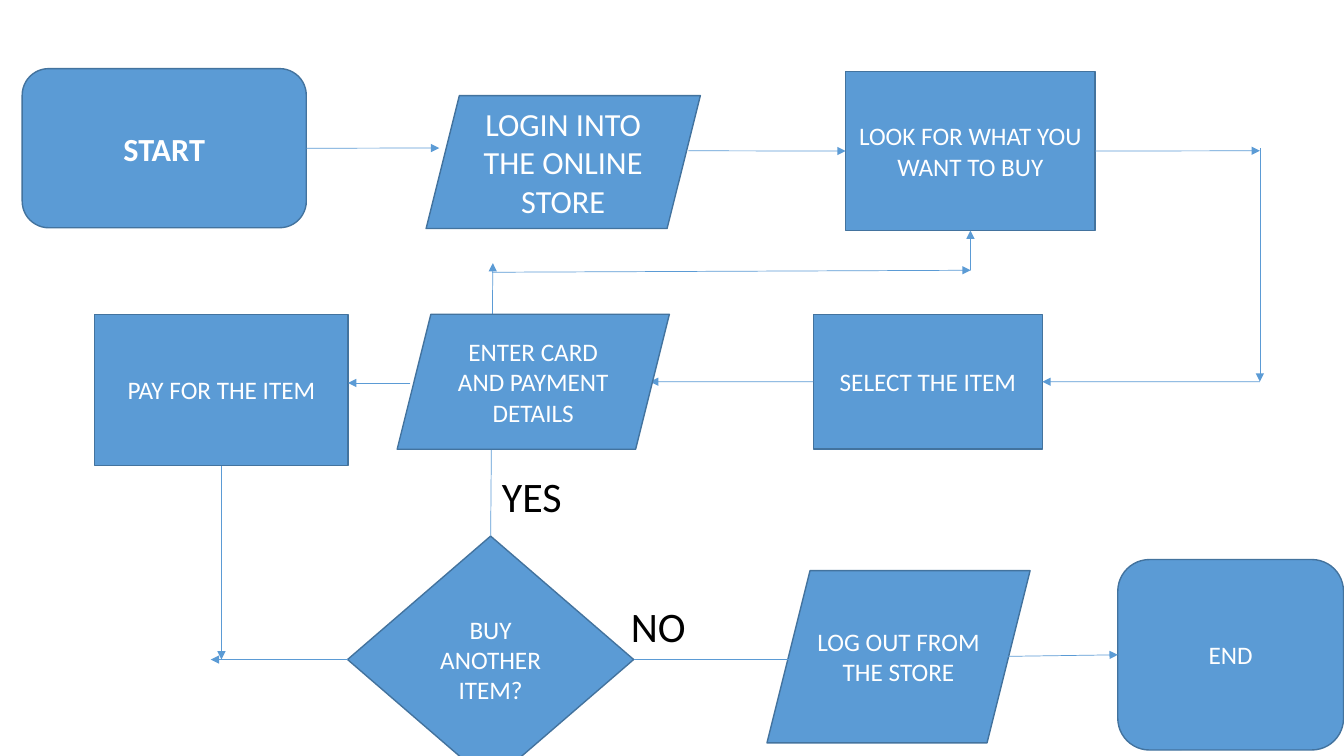
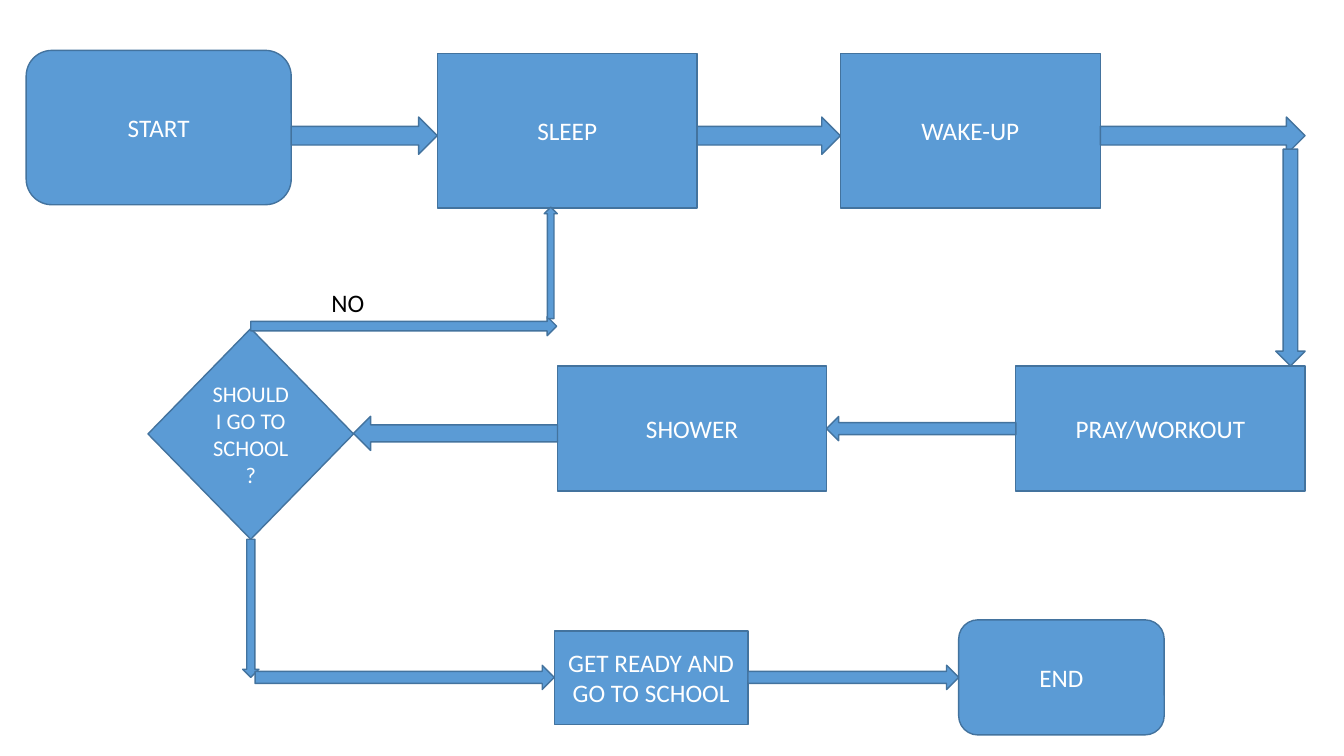
from math import atan2, degrees, hypot

from pptx import Presentation
from pptx.dml.color import RGBColor
from pptx.enum.shapes import MSO_CONNECTOR, MSO_SHAPE as Preset
from pptx.enum.text import MSO_ANCHOR, PP_ALIGN
from pptx.oxml.ns import qn
from pptx.util import Cm, Pt
from lxml.etree import SubElement

FONT = "Calibri"
BLUE = "5B9BD5"
OUTLINE = "43739E"
WHITE = "FFFFFF"
BLACK = "000000"
TOP, LEFT, BOTTOM, RIGHT = range(4)


def color(hex_string):
    return RGBColor.from_string(hex_string)


def lengths(values):
    return [Cm(value) for value in values]


def write(shape, text, size, text_color, bold=False):
    shape.text_frame.word_wrap = True
    paragraph = shape.text_frame.paragraphs[0]
    run = paragraph.add_run()
    run.text = text
    run.font.name = FONT
    run.font.size = Pt(size)
    run.font.bold = bold
    run.font.color.rgb = color(text_color)
    return paragraph


def add_block(slide, preset, box):
    """Add a blue preset shape with a thin darker outline."""
    shape = slide.shapes.add_shape(preset, *lengths(box))
    shape.shadow.inherit = False
    shape.fill.solid()
    shape.fill.fore_color.rgb = color(BLUE)
    shape.line.color.rgb = color(OUTLINE)
    shape.line.width = Pt(1)
    return shape


def add_step(slide, preset, text, box, size=18, bold=False):
    shape = add_block(slide, preset, box)
    shape.text_frame.vertical_anchor = MSO_ANCHOR.MIDDLE
    write(shape, text, size, WHITE, bold).alignment = PP_ALIGN.CENTER
    return shape


def add_label(slide, text, box, size):
    write(slide.shapes.add_textbox(*lengths(box)), text, size, BLACK)


def add_link(slide, start, end, start_joint=None, end_joint=None):
    """Draw a thin arrow; a joint is a (shape, side) pair that holds an end."""
    connector = slide.shapes.add_connector(
        MSO_CONNECTOR.STRAIGHT, *lengths(start + end))
    if start_joint:
        connector.begin_connect(*start_joint)
    if end_joint:
        connector.end_connect(*end_joint)
    connector.line.color.rgb = color(BLUE)
    connector.line.width = Pt(0.5)
    properties = connector._element.spPr
    SubElement(properties.find(qn("a:ln")), qn("a:tailEnd"), type="triangle")
    SubElement(properties, qn("a:effectLst"))


def add_block_arrow(slide, start, end, thickness):
    """Turn a right arrow so that it runs from start to end."""
    across, down = end[0] - start[0], end[1] - start[1]
    length = hypot(across, down)
    left = (start[0] + end[0] - length) / 2
    top = (start[1] + end[1] - thickness) / 2
    arrow = add_block(slide, Preset.RIGHT_ARROW, (left, top, length, thickness))
    arrow.rotation = degrees(atan2(down, across)) % 360


def build_shopping(slide):
    start = add_step(slide, Preset.ROUNDED_RECTANGLE, "START",
                     (0.56, 1.73, 7.16, 4.01), 23, True)
    add_step(slide, Preset.PARALLELOGRAM, "LOGIN INTO THE ONLINE STORE",
             (10.74, 2.41, 6.91, 3.35), 23)
    look = add_step(slide, Preset.RECTANGLE, "LOOK FOR WHAT YOU WANT TO BUY",
                    (21.31, 1.8, 6.29, 4.01))
    select = add_step(slide, Preset.RECTANGLE, "SELECT THE ITEM",
                      (20.5, 7.92, 5.77, 3.4))
    pay = add_step(slide, Preset.RECTANGLE, "PAY FOR THE ITEM",
                   (2.39, 7.92, 6.38, 3.81))
    decision = add_step(slide, Preset.DIAMOND, "BUY ANOTHER ITEM?",
                        (8.76, 13.51, 7.21, 6.22))
    add_step(slide, Preset.PARALLELOGRAM, "LOG OUT FROM THE STORE",
             (19.33, 14.38, 6.63, 4.34))
    end = add_step(slide, Preset.ROUNDED_RECTANGLE, "END",
                   (28.17, 14.1, 5.69, 4.8))

    add_link(slide, (7.72, 3.73), (11.07, 3.73), (start, RIGHT))
    add_link(slide, (17.35, 3.8), (21.31, 3.8), end_joint=(look, LEFT))
    add_link(slide, (27.6, 3.8), (31.75, 3.8), (look, RIGHT))
    add_link(slide, (31.75, 3.73), (31.75, 9.62))
    add_link(slide, (31.75, 9.62), (26.27, 9.62), end_joint=(select, RIGHT))
    add_link(slide, (20.5, 9.62), (16.38, 9.62), (select, LEFT))
    add_link(slide, (10.34, 9.65), (8.77, 9.65))
    add_link(slide, (5.58, 11.73), (5.58, 16.62), (pay, BOTTOM))
    add_link(slide, (8.76, 16.62), (5.31, 16.62), (decision, LEFT))
    add_link(slide, (15.97, 16.62), (20.29, 16.62), (decision, RIGHT))
    add_link(slide, (25.32, 16.54), (28.17, 16.5), end_joint=(end, LEFT))
    add_link(slide, (12.37, 13.51), (12.42, 6.63), (decision, TOP))
    add_link(slide, (12.4, 6.86), (24.46, 6.81))
    add_link(slide, (24.46, 6.81), (24.46, 5.81), end_joint=(look, BOTTOM))

    # Added last so that it covers the line going up from the decision
    add_step(slide, Preset.PARALLELOGRAM, "ENTER CARD AND PAYMENT DETAILS",
             (10.01, 7.92, 6.86, 3.4))
    add_label(slide, "YES", (12.4, 11.73, 2.46, 1.55), 30)
    add_label(slide, "NO", (15.65, 15.01, 3.48, 1.55), 30)


def build_morning(slide):
    steps = [
        (Preset.ROUNDED_RECTANGLE, "START", (0.66, 1.27, 6.68, 3.89)),
        (Preset.RECTANGLE, "SLEEP", (11.02, 1.35, 6.55, 3.89)),
        (Preset.RECTANGLE, "WAKE-UP", (21.18, 1.35, 6.55, 3.89)),
        (Preset.RECTANGLE, "PRAY/WORKOUT", (25.6, 9.22, 7.29, 3.15)),
        (Preset.RECTANGLE, "SHOWER", (14.05, 9.22, 6.78, 3.15)),
        (Preset.DIAMOND, "SHOULD I GO TO SCHOOL?", (3.73, 8.28, 5.18, 5.31), 16),
        (Preset.RECTANGLE, "GET READY AND GO TO SCHOOL",
         (13.97, 15.9, 4.88, 2.36)),
        (Preset.ROUNDED_RECTANGLE, "END", (24.16, 15.62, 5.18, 2.9)),
    ]
    for step in steps:
        add_step(slide, *step)

    arrows = [
        ((7.34, 3.42), (11.02, 3.42), 0.94),
        ((17.57, 3.42), (21.18, 3.42), 0.94),
        ((27.73, 3.42), (32.89, 3.42), 0.94),
        ((32.52, 3.76), (32.52, 9.22), 0.74),
        ((25.6, 10.8), (20.83, 10.8), 0.61),
        ((14.05, 10.92), (8.91, 10.92), 0.86),
        ((6.32, 8.22), (14.03, 8.22), 0.48),
        ((13.88, 8.03), (13.88, 5.22), 0.33),
        ((6.32, 13.59), (6.32, 17.07), 0.41),
        ((6.43, 17.07), (13.97, 17.07), 0.61),
        ((18.85, 17.07), (24.16, 17.07), 0.61),
    ]
    for arrow in arrows:
        add_block_arrow(slide, *arrow)
    add_label(slide, "NO", (8.1, 7.11, 3.48, 1.8), 18)


def main():
    presentation = Presentation()
    presentation.slide_width = Cm(33.87)
    presentation.slide_height = Cm(19.05)
    blank_layout = presentation.slide_layouts[6]
    for build in (build_shopping, build_morning):
        build(presentation.slides.add_slide(blank_layout))
    presentation.save("out.pptx")


if __name__ == "__main__":
    main()
